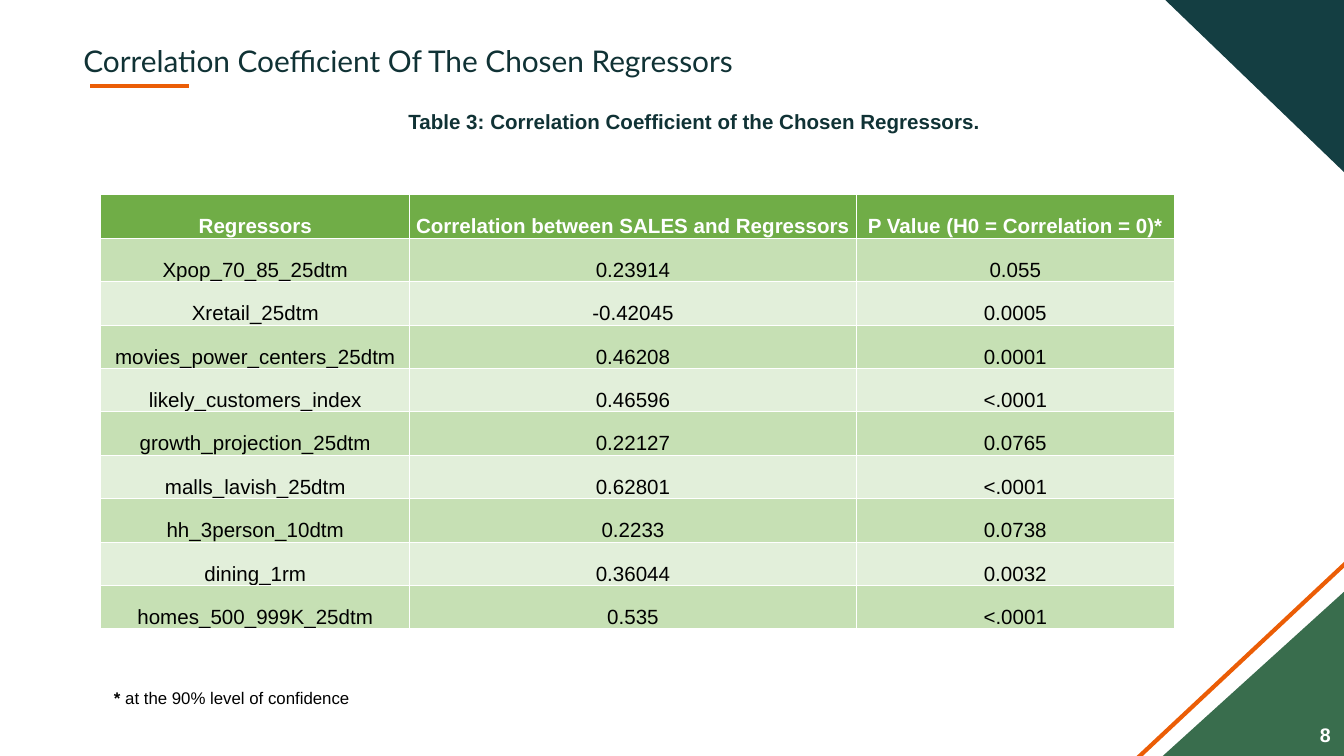
import pptx
import pptx.util
import pptx.dml.color
import pptx.enum.shapes
import pptx.enum.text
import pptx.oxml
import pptx.oxml.ns

Inches, Pt = pptx.util.Inches, pptx.util.Pt
ALIGN, ANCHOR = pptx.enum.text.PP_ALIGN, pptx.enum.text.MSO_ANCHOR
SHAPE = pptx.enum.shapes.MSO_SHAPE
DARK, GREEN, ORANGE, INK = "143E42", "396D4D", "EB5D06", "103235"
BLACK, WHITE = "000000", "FFFFFF"
HEAD, BANDS = "70AD47", ("C6E0B4", "E2EFDA")


def color(code):
    return pptx.dml.color.RGBColor.from_string(code)


def write(par, text, size, code, bold=False, face="Arial"):
    """Add one formatted run to a paragraph."""
    run = par.add_run()
    run.text = text
    run.font.name, run.font.size, run.font.bold = face, Pt(size), bold
    run.font.color.rgb = color(code)


prs = pptx.Presentation()
prs.slide_width = Inches(10)
prs.slide_height = prs.slide_width * 9 // 16
slide = prs.slides.add_slide(prs.slide_layouts[5])
shapes = slide.shapes

# Corner decoration
pen = shapes.build_freeform(Inches(10.02), 0)
pen.add_line_segments([(Inches(10.02), Inches(1.3)), (Inches(8.67), 0)], close=True)
corner = pen.convert_to_shape()
wedge = shapes.add_shape(SHAPE.RIGHT_TRIANGLE, Inches(8.58), Inches(4.34),
                         Inches(1.49), Inches(1.35))
wedge._element.spPr.find(pptx.oxml.ns.qn("a:xfrm")).set("flipH", "1")
for shape, code in ((corner, DARK), (wedge, GREEN)):
    shape.shadow.inherit = False
    shape.fill.solid()
    shape.fill.fore_color.rgb = color(code)
    shape.line.fill.background()

# Orange diagonal and title rule
for ends in ((10.11, 4.1, 8.4, 5.7), (0.67, 0.64, 1.41, 0.64)):
    line = shapes.add_connector(pptx.enum.shapes.MSO_CONNECTOR.STRAIGHT,
                                *[Inches(v) for v in ends])
    line.line.color.rgb = color(ORANGE)
    line.line.width = Pt(2.25)
    line._element.spPr.append(pptx.oxml.parse_xml(
        f'<a:effectLst {pptx.oxml.ns.nsdecls("a")}/>'))

# Title
title = shapes.title
title.left, title.top = Inches(0.52), Inches(0.22)
title.width, title.height = Inches(8.43), Inches(0.63)
frame = title.text_frame
frame.auto_size = pptx.enum.text.MSO_AUTO_SIZE.NONE
frame.vertical_anchor = ANCHOR.TOP
frame.margin_top = frame.margin_bottom = Inches(0.1)
frame.paragraphs[0].alignment = ALIGN.LEFT
write(frame.paragraphs[0], "Correlation Coefficient Of The Chosen Regressors", 16, INK, face="Lato")

# Caption, page number and footnote: place, top margin, indent, anchor, alignment, runs
texts = [
    ((2.8, 0.72, 4.68, 0.73), 0.1, 0.14, ANCHOR.TOP, ALIGN.LEFT,
     [("Table 3: Correlation Coefficient of the Chosen Regressors.", 11, INK, True)]),
    ((9.52, 5.32, 0.48, 0.3), 0.05, 0, ANCHOR.MIDDLE, ALIGN.RIGHT,
     [("8", 10.5, WHITE, True)]),
    ((0.75, 5.07, 3, 0.25), 0.05, 0, ANCHOR.TOP, ALIGN.LEFT,
     [("* ", 9, BLACK, True), ("at the 90% level of confidence", 9, BLACK)]),
]
for place, margin, indent, anchor, align, runs in texts:
    frame = shapes.add_textbox(*[Inches(v) for v in place]).text_frame
    frame.word_wrap = True
    frame.margin_top = frame.margin_bottom = Inches(margin)
    frame.vertical_anchor = anchor
    par = frame.paragraphs[0]
    par.alignment = align
    par._p.get_or_add_pPr().set("marL", str(Inches(indent)))
    for run in runs:
        write(par, *run)

# Table
rows = [
    ("Regressors", "Correlation between SALES and Regressors", "P Value (H0 = Correlation = 0)*"),
    ("Xpop_70_85_25dtm", "0.23914", "0.055"),
    ("Xretail_25dtm", "-0.42045", "0.0005"),
    ("movies_power_centers_25dtm", "0.46208", "0.0001"),
    ("likely_customers_index", "0.46596", "<.0001"),
    ("growth_projection_25dtm", "0.22127", "0.0765"),
    ("malls_lavish_25dtm", "0.62801", "<.0001"),
    ("hh_3person_10dtm", "0.2233", "0.0738"),
    ("dining_1rm", "0.36044", "0.0032"),
    ("homes_500_999K_25dtm", "0.535", "<.0001"),
]
table = shapes.add_table(len(rows), 3, Inches(0.75), Inches(1.45),
                         Inches(7.99), Inches(3.23)).table
for col, width in zip(table.columns, (2.3, 3.32, 2.37)):
    col.width = Inches(width)
for i, row in enumerate(rows):
    for j, text in enumerate(row):
        cell = table.cell(i, j)
        cell.vertical_anchor = ANCHOR.BOTTOM
        cell.margin_left = cell.margin_right = cell.margin_top = Inches(0.01)
        cell.margin_bottom = 0
        for side in "LRTB":
            cell._tc.get_or_add_tcPr().append(pptx.oxml.parse_xml(
                f'<a:ln{side} {pptx.oxml.ns.nsdecls("a")} w="{Pt(0.5)}"><a:solidFill>'
                f'<a:srgbClr val="{WHITE}"/></a:solidFill></a:ln{side}>'))
        cell.fill.solid()
        cell.fill.fore_color.rgb = color(BANDS[(i - 1) % 2] if i else HEAD)
        par = cell.text_frame.paragraphs[0]
        par.alignment = ALIGN.CENTER
        write(par, text, 11, BLACK if i else WHITE, bold=i == 0)

prs.save("out.pptx")
